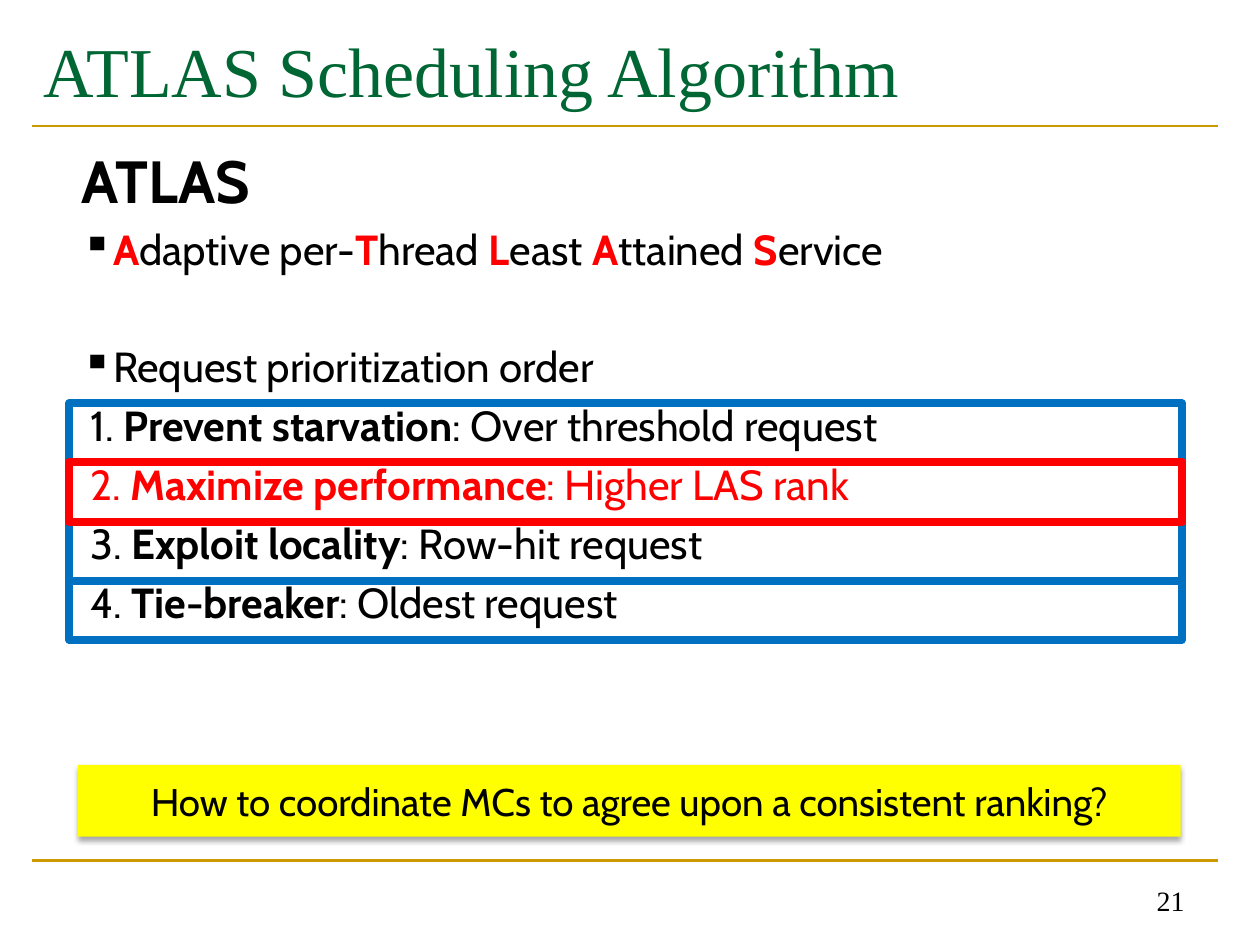
from lxml.etree import SubElement
from pptx import Presentation
from pptx.dml.color import RGBColor
from pptx.enum.shapes import MSO_CONNECTOR, MSO_SHAPE
from pptx.enum.text import MSO_ANCHOR, PP_ALIGN
from pptx.oxml import parse_xml
from pptx.oxml.ns import qn
from pptx.util import Inches, Pt

BLACK = RGBColor(0x00, 0x00, 0x00)
RED = RGBColor(0xFF, 0x00, 0x00)
BLUE = RGBColor(0x00, 0x70, 0xC0)
GREEN = RGBColor(0x00, 0x66, 0x33)
GOLD = RGBColor(0xCC, 0x99, 0x00)
YELLOW = RGBColor(0xFF, 0xFF, 0x00)
SANS, SERIF = "Cabin", "Times New Roman"

TITLE = "ATLAS Scheduling Algorithm"
HEAD = "ATLAS"
NAME = [("A", "daptive per-"), ("T", "hread "), ("L", "east "),
        ("A", "ttained "), ("S", "ervice")]
ORDER = "Request prioritization order"
RULES = [("Prevent starvation", "Over threshold request"),
         ("Maximize performance", "Higher LAS rank"),
         ("Exploit locality", "Row-hit request"),
         ("Tie-breaker", "Oldest request")]
KEY = 1  # index of the rule shown in red
ASK = "How to coordinate MCs to agree upon a consistent ranking?"
PAGE = "21"

BOX_TOP, BOX_H = 3.2, 0.47
SHADOW = """<a:effectLst xmlns:a="http://schemas.openxmlformats.org/drawingml/2006/main">
<a:outerShdw blurRad="39370" dist="22860" dir="5400000" rotWithShape="0">
<a:srgbClr val="000000"><a:alpha val="35000"/></a:srgbClr></a:outerShdw></a:effectLst>"""

prs = Presentation()
prs.slide_width, prs.slide_height = Inches(10), Inches(7.5)
slide = prs.slides.add_slide(prs.slide_layouts[6])
shapes = slide.shapes


def set_font(para, size, color=BLACK, face=SANS):
    font = para.font
    font.size, font.name, font.color.rgb = Pt(size), face, color


def add_frame(*place):
    frame = shapes.add_textbox(*map(Inches, place)).text_frame
    frame.word_wrap = True
    return frame


def add_run(para, text, bold=False, color=None):
    run = para.add_run()
    run.text = text
    run.font.bold = bold
    if color is not None:
        run.font.color.rgb = color


def add_para(frame, left, hang=0, gap=4.8, color=BLACK):
    para = frame.add_paragraph()
    set_font(para, 24, color)
    para.space_before = Pt(gap)
    props = para._p.get_or_add_pPr()
    props.set("marL", str(Inches(left)))
    props.set("indent", str(-Inches(hang)))
    if hang:
        SubElement(SubElement(props, qn("a:buClr")), qn("a:srgbClr")).set("val", str(BLACK))
        SubElement(props, qn("a:buChar")).set("char", "▪")
    return para


def add_rect(*place):
    rect = shapes.add_shape(MSO_SHAPE.RECTANGLE, *map(Inches, place))
    rect.shadow.inherit = False
    return rect


def add_box(row, color):
    box = add_rect(0.55, BOX_TOP + row * BOX_H, 8.83, BOX_H)
    box.fill.background()
    box.line.color.rgb, box.line.width = color, Pt(4.5)


for y in (6.83, 1):
    rule = shapes.add_connector(MSO_CONNECTOR.STRAIGHT, Inches(0.25), Inches(y),
                                Inches(9.67), Inches(y))
    rule.line.color.rgb, rule.line.width = GOLD, Pt(1.5)
    SubElement(rule._element.spPr, qn("a:effectLst"))

title = add_frame(0.25, 0.17, 9.42, 1.17).paragraphs[0]
title.text = TITLE
set_font(title, 40, GREEN, SERIF)

body = add_frame(0.55, 1.09, 9.03, 4.95)
head = body.paragraphs[0]
head.text = HEAD
set_font(head, 34)
head.font.bold = True

name = add_para(body, 0.19, 0.19)
for cap, rest in NAME:
    add_run(name, cap, True, RED)
    add_run(name, rest)
add_run(add_para(body, 0.19, 0.19, gap=38.4), ORDER)
for i, (goal, test) in enumerate(RULES):
    para = add_para(body, 0.07, color=RED if i == KEY else BLACK)
    add_run(para, f"{i + 1}. ")
    add_run(para, goal, True)
    add_run(para, f": {test}")

num = add_frame(7.17, 6.83, 2.33, 0.5)
num.vertical_anchor = MSO_ANCHOR.BOTTOM
page = num.paragraphs[0]
page.text, page.alignment = PAGE, PP_ALIGN.RIGHT
set_font(page, 16, face=SERIF)

for row in range(len(RULES)):
    add_box(row, BLUE)
add_box(KEY, RED)

bar = add_rect(0.62, 6.07, 8.75, 0.57)
bar.fill.solid()
bar.fill.fore_color.rgb = YELLOW
bar.line.fill.background()
props = bar._element.spPr
props.replace(props.find(qn("a:effectLst")), parse_xml(SHADOW))
bar.text_frame.vertical_anchor = MSO_ANCHOR.MIDDLE
ask = bar.text_frame.paragraphs[0]
ask.text, ask.alignment = ASK, PP_ALIGN.CENTER
set_font(ask, 22)

prs.save("out.pptx")
